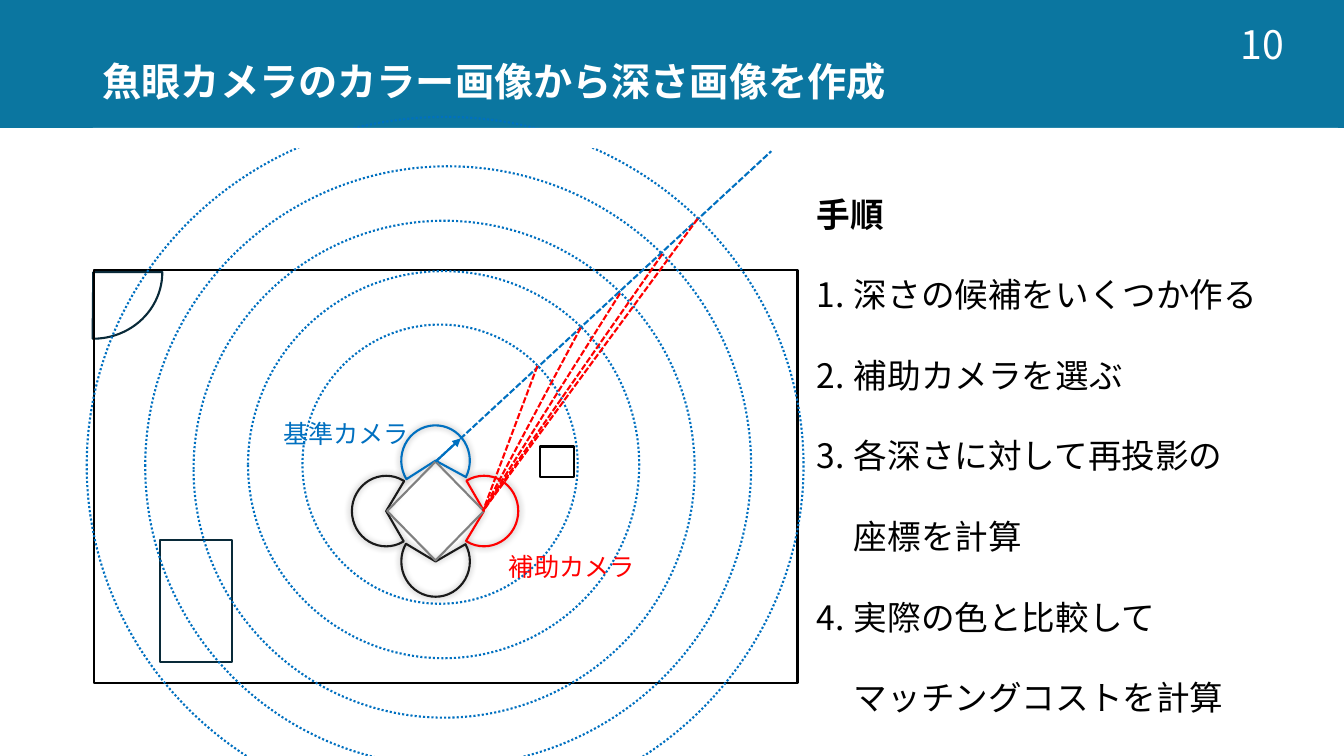
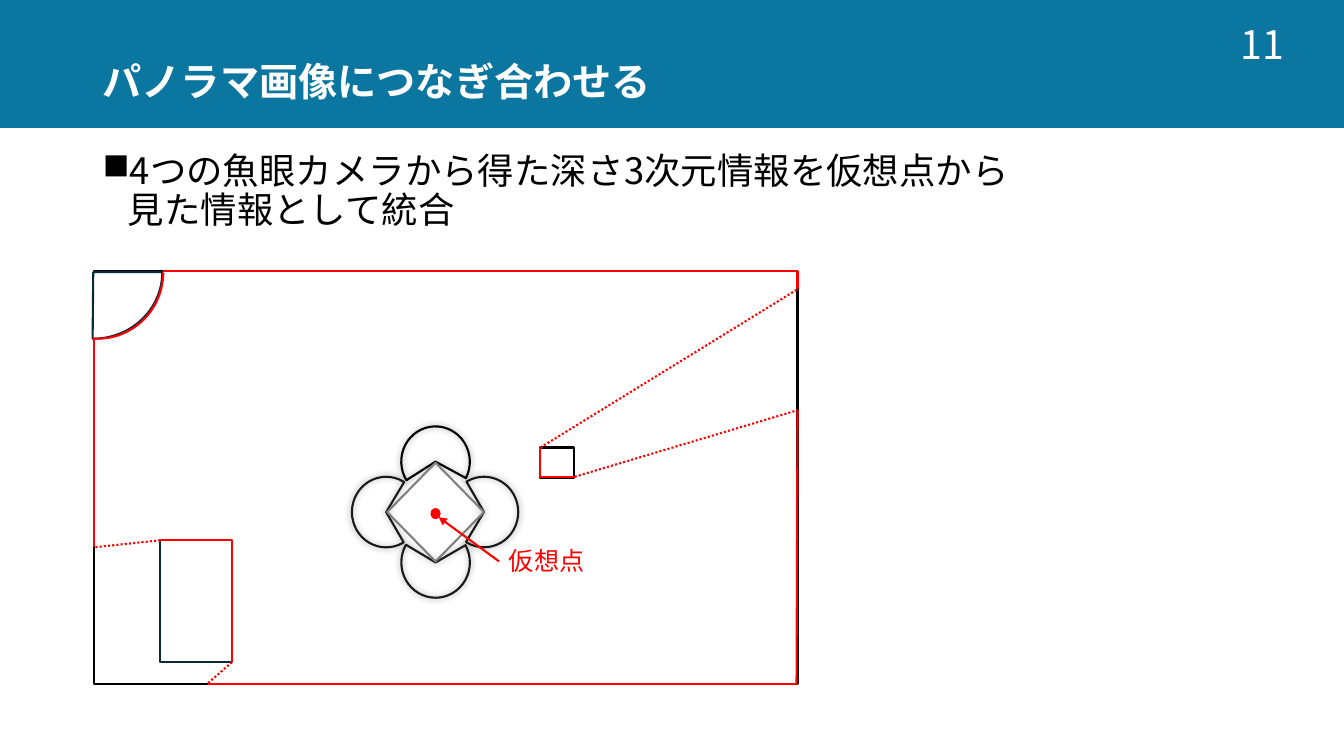
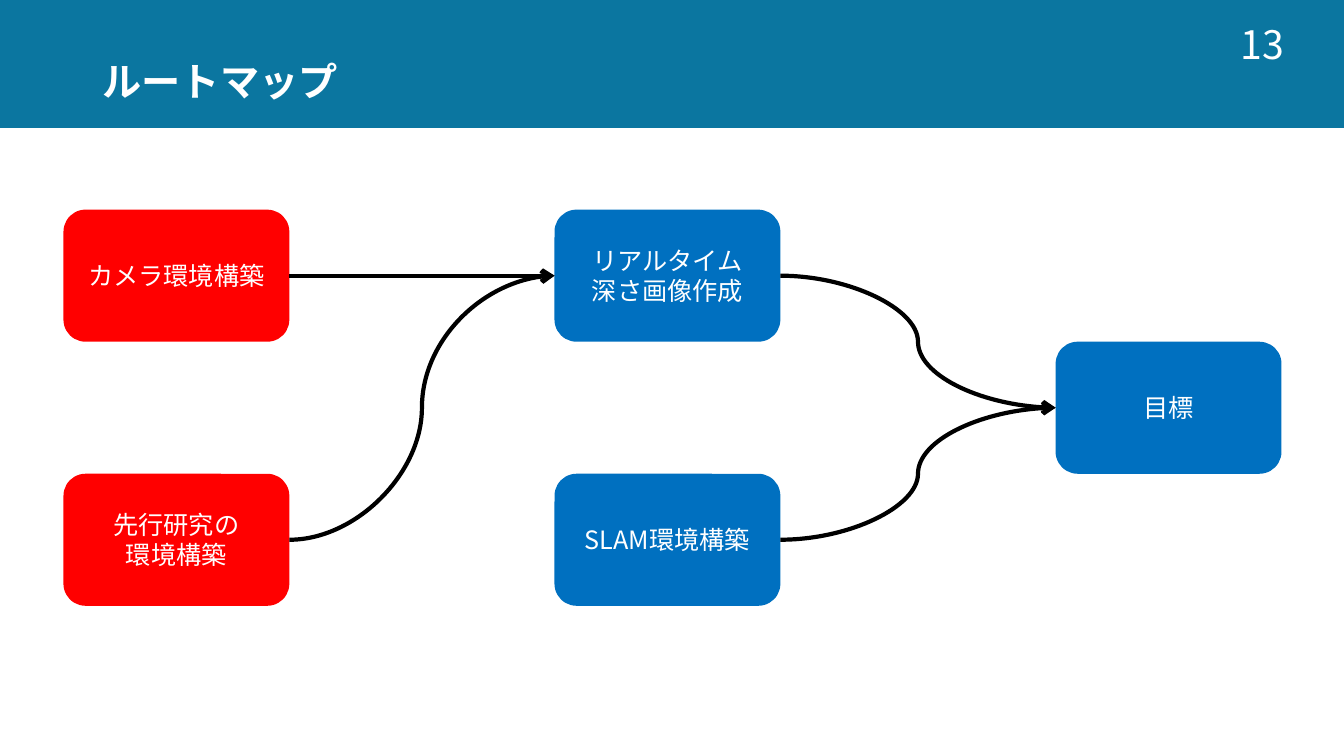
"""Build three slides on panoramas from fisheye cameras."""
import pptx
import pptx.util
import pptx.dml.color
import pptx.enum.dml
import pptx.enum.shapes
import pptx.enum.text
import pptx.oxml
import pptx.oxml.ns

Inches, Pt = pptx.util.Inches, pptx.util.Pt
KIND = pptx.enum.shapes.MSO_SHAPE
JOIN = pptx.enum.shapes.MSO_CONNECTOR
DASH = pptx.enum.dml.MSO_LINE
ALIGN = pptx.enum.text.PP_ALIGN
MID = pptx.enum.text.MSO_ANCHOR.MIDDLE
FIT = pptx.enum.text.MSO_AUTO_SIZE.SHAPE_TO_FIT_TEXT
NS = 'xmlns:a="http://schemas.openxmlformats.org/drawingml/2006/main"'
FONT = "Noto Sans CJK JP"
HUES = {"band": "0B76A0", "white": "FFFFFF", "black": "000000", "navy": "092A39",
        "blue": "0070C0", "red": "FF0000", "ink": "1A1A1A", "gray": "808080"}

STEPS = ["深さの候補をいくつか作る", "補助カメラを選ぶ",
         "各深さに対して再投影の\n座標を計算", "実際の色と比較して\nマッチングコストを計算"]
MERGE = "4つの魚眼カメラから得た深さ3次元情報を仮想点から\n見た情報として統合"
RINGS = [(0.86, 1.16, 7.11, 6.92), (1.44, 1.65, 6.01, 5.95), (1.92, 2.19, 4.97, 4.93),
         (2.46, 2.69, 3.88, 3.84), (3, 3.22, 2.73, 2.77)]
DEPTHS = [(5.33, 3.63), (5.76, 3.25), (6.15, 2.91), (6.57, 2.52), (6.92, 2.17)]
LENS, FRONT = (4.79, 5.07), (4.32, 4.58)
CAMS = [(3.98, 4.22, 0.68, 0.7, 357.5), (4.45, 4.73, 0.7, 0.68, 90),
        (3.98, 5.22, 0.68, 0.7, 180), (3.48, 4.73, 0.7, 0.68, 270)]
SEEN = [[(7.91, 2.87), (7.91, 2.69), (1.62, 2.69)],
        [(5.36, 4.44), (5.36, 4.73), (5.7, 4.73)],
        [(0.93, 3.36), (0.93, 5.43)],
        [(1.59, 5.36), (2.3, 5.36), (2.3, 6.57)],
        [(7.91, 4.07), (7.9, 6.79), (2.06, 6.79)]]
EDGES = [[(5.36, 4.44), (7.91, 2.87)], [(5.7, 4.73), (7.91, 4.07)],
         [(1.59, 5.36), (0.93, 5.43)], [(2.3, 6.57), (2.06, 6.78)]]
TASKS = {"cam": ("カメラ環境構築", 0.63, 2.08, "red"),
         "prior": ("先行研究の\n環境構築", 0.63, 4.7, "red"),
         "depth": ("リアルタイム\n深さ画像作成", 5.5, 2.08, "blue"),
         "slam": ("SLAM環境構築", 5.5, 4.7, "blue"),
         "goal": ("目標", 10.47, 3.39, "blue")}
FLOWS = [("cam", "depth", JOIN.STRAIGHT), ("prior", "depth", JOIN.CURVE),
         ("depth", "goal", JOIN.CURVE), ("slam", "goal", JOIN.CURVE)]


def node(text):
    """Make an XML node in the drawing namespace."""
    head, tail = text.split(" ", 1)
    return pptx.oxml.parse_xml(f"<a:{head} {NS} {tail}/>")


def rgb(hue):
    """Look up a colour."""
    return pptx.dml.color.RGBColor.from_string(HUES[hue])


def pen(line, hue, width=1.5, dash=None):
    """Style a line."""
    line.color.rgb = rgb(hue)
    line.width = Pt(width)
    if dash:
        line.dash_style = dash


def draw(shapes, kind, box, fill=None, line=None, dash=None, turn=0, adj=(), glow=False):
    """Add a preset shape."""
    item = shapes.add_shape(kind, *map(Inches, box))
    item.shadow.inherit = False
    item.rotation = turn
    for i, part in enumerate(adj):
        item.adjustments[i] = part
    if fill:
        item.fill.solid()
        item.fill.fore_color.rgb = rgb(fill)
    else:
        item.fill.background()
    if line:
        pen(item.line, line, dash=dash)
    else:
        item.line.fill.background()
    if glow:
        shade = node('outerShdw blurRad="63500" dist="0" dir="0" algn="ctr" rotWithShape="0"')
        tint = node('srgbClr val="000000"')
        tint.append(node('alpha val="40000"'))
        shade.append(tint)
        item._element.spPr.find(pptx.oxml.ns.qn("a:effectLst")).append(shade)
    return item


def link(shapes, start, end, hue, dash=None, tip=None, kind=JOIN.STRAIGHT, width=1.5):
    """Add a connector."""
    item = shapes.add_connector(kind, *map(Inches, (*start, *end)))
    pen(item.line, hue, width, dash)
    if tip:
        item.line._get_or_add_ln().append(node(f'tailEnd type="{tip}"'))
    item._element.spPr.append(node("effectLst "))
    return item


def write(para, text, size, hue, bold=False):
    """Add text to a paragraph, one run a line."""
    for i, part in enumerate(text.split("\n")):
        if i:
            para.add_line_break()
        run = para.add_run()
        run.text = part
        run.font.size = Pt(size)
        run.font.bold = bold
        run.font.color.rgb = rgb(hue)
        run.font.name = FONT
        run.font._element.append(node(f'ea typeface="{FONT}"'))


def mark(para, left, bullet):
    """Give a paragraph a hanging bullet."""
    props = para._p.get_or_add_pPr()
    props.set("marL", str(Inches(left)))
    props.set("indent", str(-Inches(left)))
    props.append(node(bullet))


def place(slide, box, wrap=True, grow=False):
    """Add a text box and return its frame."""
    frame = slide.shapes.add_textbox(*map(Inches, box)).text_frame
    frame.word_wrap = wrap
    if grow:
        frame.auto_size = FIT
    return frame


def label(slide, box, text, hue, wrap=False):
    """Add a short caption."""
    write(place(slide, box, wrap, True).paragraphs[0], text, 18, hue)


def start(deck, title, number):
    """Add a slide with band, title and number."""
    slide = deck.slides.add_slide(deck.slide_layouts[6])
    draw(slide.shapes, KIND.RECTANGLE, (0, 0, 13.33, 1.27), "band")
    head = place(slide, (0.92, 0.4, 11.5, 0.87))
    head.vertical_anchor = MID
    head.paragraphs[0].line_spacing = 0.9
    write(head.paragraphs[0], title, 28, "white", True)
    count = place(slide, (11.7, 0, 1.64, 0.87))
    count.vertical_anchor = MID
    count.paragraphs[0].alignment = ALIGN.CENTER
    write(count.paragraphs[0], str(number), 28, "white")
    return slide


def wall(slide, top):
    """Draw the room outline."""
    draw(slide.shapes, KIND.RECTANGLE, (0.93, top, 6.98, 4.1), line="black")


def stock(slide):
    """Draw the corner table and the desk."""
    draw(slide.shapes, KIND.PIE, (0.24, 2.04, 1.37, 1.32), "white", "navy", adj=(0, 54.33))
    draw(slide.shapes, KIND.RECTANGLE, (1.59, 5.36, 0.71, 1.21), "white", "navy")


def crate(slide, top):
    """Draw the small box in the room."""
    draw(slide.shapes, KIND.RECTANGLE, (5.36, top, 0.33, 0.3), "white", "black")


def rig(slide, hues, drop=0):
    """Draw four cameras round a diamond."""
    group = slide.shapes.add_group_shape().shapes
    for (x, y, w, h, turn), hue in zip(CAMS, hues):
        draw(group, KIND.PIE, (x, y + drop, w, h), line=hue, turn=turn,
             adj=(89.98, 18.58), glow=True)
    draw(group, KIND.DIAMOND, (3.84, 4.58 + drop, 0.96, 0.98), line="gray")


def depth(deck):
    """Build the depth slide."""
    slide = start(deck, "魚眼カメラのカラー画像から深さ画像を作成", 10)
    shapes = slide.shapes
    stock(slide)
    rig(slide, ("blue", "red", "ink", "ink"))
    wall(slide, 2.68)
    link(shapes, FRONT, (7.65, 1.5), "blue", DASH.SQUARE_DOT)
    label(slide, (2.71, 4.1, 1.73, 0.4), "基準カメラ", "blue", True)
    for ring in RINGS:
        draw(shapes, KIND.FLOWCHART_CONNECTOR, ring, line="blue", dash=DASH.ROUND_DOT)
    draw(shapes, KIND.RECTANGLE, (0.92, 1.27, 12.35, 0.2), "white")
    label(slide, (4.95, 5.42, 1.46, 0.4), "補助カメラ", "red")
    for point in DEPTHS:
        link(shapes, point, LENS, "red", DASH.SQUARE_DOT)
    crate(slide, 4.43)
    frame = place(slide, (8, 1.47, 4.75, 5.65), False, True)
    frame.paragraphs[0].line_spacing = 2.0
    write(frame.paragraphs[0], "手順", 24, "black", True)
    for step in STEPS:
        para = frame.add_paragraph()
        para.line_spacing = 2.0
        mark(para, 0.37, 'buAutoNum type="arabicPeriod"')
        write(para, step, 24, "black")
    link(shapes, FRONT, (4.57, 4.35), "blue", tip="triangle")


def merge(deck):
    """Build the panorama slide."""
    slide = start(deck, "パノラマ画像につなぎ合わせる", 11)
    para = place(slide, (0.92, 1.47, 11.5, 0.95)).paragraphs[0]
    para.line_spacing = 0.9
    mark(para, 0.25, 'buChar char="■"')
    write(para, MERGE, 26, "black")
    rig(slide, ("black", "ink", "ink", "ink"), 0.01)
    wall(slide, 2.69)
    draw(slide.shapes, KIND.FLOWCHART_CONNECTOR, (4.27, 5.04, 0.1, 0.11), "red")
    crate(slide, 4.44)
    stock(slide)
    group = slide.shapes.add_group_shape().shapes
    for chains, dash in ((SEEN, None), (EDGES, DASH.ROUND_DOT)):
        for chain in chains:
            for a, b in zip(chain, chain[1:]):
                link(group, a, b, "red", dash)
    draw(group, KIND.ARC, (0.32, 2.04, 1.3, 1.32), line="red", adj=(0.23, 56.7))
    label(slide, (4.95, 5.36, 0.96, 0.4), "仮想点", "red")
    link(slide.shapes, (4.95, 5.57), (4.35, 5.13), "red", tip="triangle")


def route(deck):
    """Build the roadmap slide."""
    slide = start(deck, "ルートマップ", 13)
    cards = {}
    for key, (text, x, y, hue) in TASKS.items():
        card = draw(slide.shapes, KIND.ROUNDED_RECTANGLE, (x, y, 2.24, 1.31), hue)
        card.text_frame.vertical_anchor = MID
        para = card.text_frame.paragraphs[0]
        para.alignment = ALIGN.CENTER
        write(para, text, 18, "white")
        cards[key] = card
    for a, b, kind in FLOWS:
        line = link(slide.shapes, (0, 0), (1, 1), "black", tip="arrow", kind=kind, width=3)
        line.begin_connect(cards[a], 3)
        line.end_connect(cards[b], 1)


def main():
    """Build and save the deck."""
    deck = pptx.Presentation()
    deck.slide_width, deck.slide_height = Inches(13.33), Inches(7.5)
    for build in (depth, merge, route):
        build(deck)
    deck.save("out.pptx")


if __name__ == "__main__":
    main()
